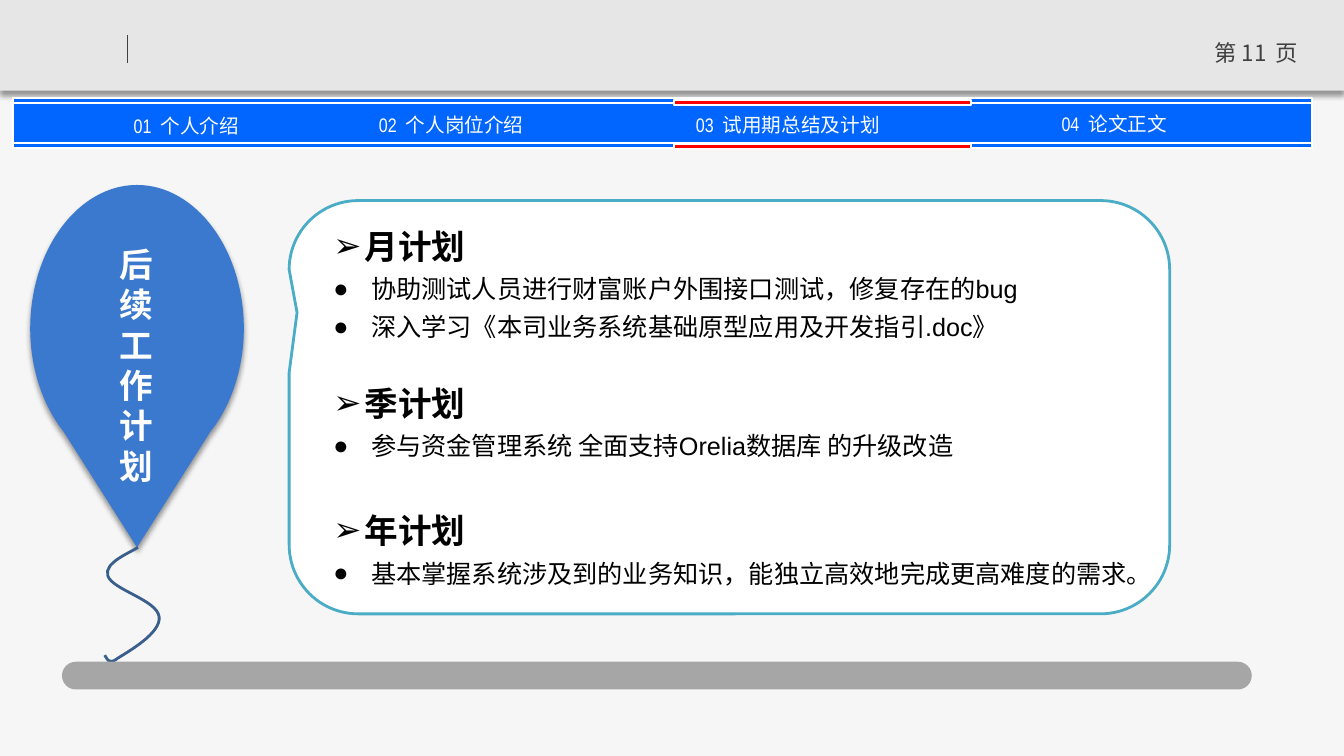
import pptx
import pptx.util
import pptx.dml.color
import pptx.enum.shapes
import pptx.enum.text
import pptx.oxml
import pptx.oxml.ns

KIND = pptx.enum.shapes.MSO_SHAPE
ALIGN = pptx.enum.text.PP_ALIGN
ANCHOR = pptx.enum.text.MSO_ANCHOR
NS = pptx.oxml.ns.nsdecls("a")
CJK = "Noto Sans CJK SC"


def cell(n):
    """Length of n grid cells; columns and rows are a tenth of an inch."""
    return pptx.util.Inches(n / 10)


def hue(code):
    return pptx.dml.color.RGBColor.from_string(code)


class Deck:
    def __init__(self, wide, high, back):
        self.prs = pptx.Presentation()
        self.prs.slide_width, self.prs.slide_height = cell(wide), cell(high)
        self.slide = self.prs.slides.add_slide(self.prs.slide_layouts[6])
        self.slide.background.fill.solid()
        self.slide.background.fill.fore_color.rgb = hue(back)
        self.shapes = self.slide.shapes

    def paint(self, item, fill=None, line=None, width=1.5, shade=False):
        item.shadow.inherit = False
        if fill:
            item.fill.solid()
            item.fill.fore_color.rgb = hue(fill)
        else:
            item.fill.background()
        if line:
            item.line.color.rgb = hue(line)
            item.line.width = pptx.util.Pt(width)
        else:
            item.line.fill.background()
        if shade:
            effects = item._element.spPr.find(pptx.oxml.ns.qn("a:effectLst"))
            effects.append(pptx.oxml.parse_xml(
                f'<a:outerShdw {NS} blurRad="50800" dist="38100" dir="5400000" rotWithShape="0">'
                '<a:srgbClr val="000000"><a:alpha val="40000"/></a:srgbClr></a:outerShdw>'))
        return item

    def block(self, kind, x, y, w, h, adjust=(), **look):
        item = self.shapes.add_shape(kind, cell(x), cell(y), cell(w), cell(h))
        for i, value in enumerate(adjust):
            item.adjustments[i] = value
        return self.paint(item, **look)

    def outline(self, start, parts, close, **look):
        """Parts of one point are straight lines, parts of three are cubic curves."""
        dots = [(cell(x), cell(y)) for part in parts for x, y in part]
        maker = self.shapes.build_freeform(cell(start[0]), cell(start[1]))
        maker.add_line_segments(dots, close=close)
        item = maker.convert_to_shape()
        steps = iter(list(item._element.iter(pptx.oxml.ns.qn("a:lnTo"))))
        for part in parts:
            group = [next(steps) for dot in part]
            if len(group) == 3:
                bend = pptx.oxml.parse_xml(f"<a:cubicBezTo {NS}/>")
                group[0].addprevious(bend)
                for step in group:
                    bend.append(step[0])
                    step.getparent().remove(step)
        return self.paint(item, **look)

    def rule(self, x1, y1, x2, y2, color, width):
        line = self.shapes.add_connector(pptx.enum.shapes.MSO_CONNECTOR.STRAIGHT,
                                         cell(x1), cell(y1), cell(x2), cell(y2))
        line.line.color.rgb = hue(color)
        line.line.width = pptx.util.Pt(width)
        line._element.spPr.append(pptx.oxml.parse_xml(f"<a:effectLst {NS}/>"))

    def frame(self, x, y, w, h, inset=True, anchor=ANCHOR.TOP):
        text = self.shapes.add_textbox(cell(x), cell(y), cell(w), cell(h)).text_frame
        text.word_wrap = True
        text.vertical_anchor = anchor
        if not inset:
            text.margin_left = text.margin_right = text.margin_top = text.margin_bottom = 0
        return text

    def style(self, para, size, color, font=CJK, bold=False):
        for run in para.runs:
            run.font.size = pptx.util.Pt(size)
            run.font.bold = bold
            run.font.name = font
            run.font.color.rgb = hue(color)
            props = run._r.get_or_add_rPr()
            props.append(pptx.oxml.parse_xml(f'<a:ea {NS} typeface="{CJK}"/>'))

    def pair(self, text, head, tail, size, color, font):
        """Two centred words with a widened space between them."""
        para = text.paragraphs[0]
        para.alignment = ALIGN.CENTER
        for part in (head, " ", tail):
            para.add_run().text = part
        para.runs[1]._r.get_or_add_rPr().set("spc", "320")
        self.style(para, size, color, font)

    def bullet(self, para, mark, indent):
        props = para._p.get_or_add_pPr()
        props.set("marL", str(cell(indent)))
        props.set("indent", str(-cell(indent)))
        props.append(pptx.oxml.parse_xml(f'<a:buFont {NS} typeface="Arial"/>'))
        props.append(pptx.oxml.parse_xml(f'<a:buChar {NS} char="{mark}"/>'))


def main():
    deck = Deck(133.4, 75, "F6F6F6")

    # Header band with page number
    deck.block(KIND.RECTANGLE, 0, 0, 133.4, 9, fill="E6E6E6", shade=True)
    deck.rule(12.7, 3.45, 12.7, 6.3, "404040", 0.75)
    deck.pair(deck.frame(118.7, 3.4, 12, 4), "第 11", "页", 16, "404040", CJK)

    # Navigation bar
    for y, h in ((10.25, 4.3), (14.2, 0.5), (9.75, 0.5)):
        deck.block(KIND.RECTANGLE, 1.3, y, 128.9, h, fill="0066FF", line="FFFFFF")
    tabs = ((6.1, 11.3, "个人介绍"), (32.4, 11.2, "个人岗位介绍"),
            (65.8, 11.2, "试用期总结及计划"), (98.2, 11.1, "论文正文"))
    for i, (x, y, name) in enumerate(tabs, 1):
        text = deck.frame(x, y, 24.8, 2.4, inset=False, anchor=ANCHOR.MIDDLE)
        deck.pair(text, f"{i:02}", name, 14, "FFFFFF", "Arial Narrow")

    # Red marks on the current tab
    for y in (14.3, 9.95):
        deck.block(KIND.RECTANGLE, 66.9, y, 29.5, 0.5, fill="FF0000", line="FFFFFF")

    # Balloon, mirrored about its axis, with its string
    axis, top, side, low = 13.6, 18.35, (24.2, 32.6), (20.9, 42.8)
    bends = (((19.4, top), (24.2, 24.7), side), ((24.2, 36.6), (22.9, 40.3), low))

    def flip(*dots):
        return tuple((2 * axis - x, y) for x, y in dots)

    (a, b, _), (c, d, _) = bends
    deck.outline((axis, top),
                 (*bends, ((axis, 54.3),), flip(low), flip(d, c, side), flip(b, a, (axis, top))),
                 True, fill="3B79CE", shade=True)
    deck.outline((13.7, 54.3),
                 (((13, 54.8), (10.3, 55.8), (10.7, 57.1)),
                  ((11.1, 58.5), (15.6, 59.5), (15.8, 61.2)),
                  ((16, 62.8), (12.8, 64.6), (11.7, 65.3)),
                  ((10.7, 66.1), (10.6, 65.2), (10.4, 65))),
                 False, line="3A5F8C", width=2)

    # Ground bar
    deck.block(KIND.ROUNDED_RECTANGLE, 6.15, 65.65, 118.1, 2.75, (0.5,), fill="A6A6A6")

    # Balloon title, one character per line
    text = deck.frame(10.9, 23.7, 5.4, 25.3)
    text.text = "后续工作计划"
    text.paragraphs[0].line_spacing = pptx.util.Pt(28.8)
    deck.style(text.paragraphs[0], 24, "FFFFFF", bold=True)

    # Callout, turned on its side
    callout = deck.block(KIND.ROUNDED_RECTANGULAR_CALLOUT, 51.9, -3.3, 41, 87.4,
                         (-0.229, 0.491, 0.167), fill="FFFFFF", line="4BACC6", width=2)
    callout.rotation = 90

    # Plans: gap before, heading, items
    plans = ((0, "月计划", ("协助测试人员进行财富账户外围接口测试，修复存在的bug",
                         "深入学习《本司业务系统基础原型应用及开发指引.doc》")),
             (22, "季计划", ("参与资金管理系统 全面支持Orelia数据库 的升级改造",)),
             (28, "年计划", ("基本掌握系统涉及到的业务知识，能独立高效地完成更高难度的需求。",)))
    text = deck.frame(32.1, 20.9, 84.1, 40)
    for gap, title, items in plans:
        for i, words in enumerate((title, *items)):
            head = i == 0
            first = head and gap == 0
            para = text.paragraphs[0] if first else text.add_paragraph()
            para.text = words
            para.line_spacing = pptx.util.Pt(36 if head else 27)
            if head and gap:
                para.space_before = pptx.util.Pt(gap)
            deck.bullet(para, "➢" if head else "●", 3.1 if head else 3.75)
            deck.style(para, 24 if head else 18, "000000", "Arial", head)

    deck.prs.save("out.pptx")


if __name__ == "__main__":
    main()
